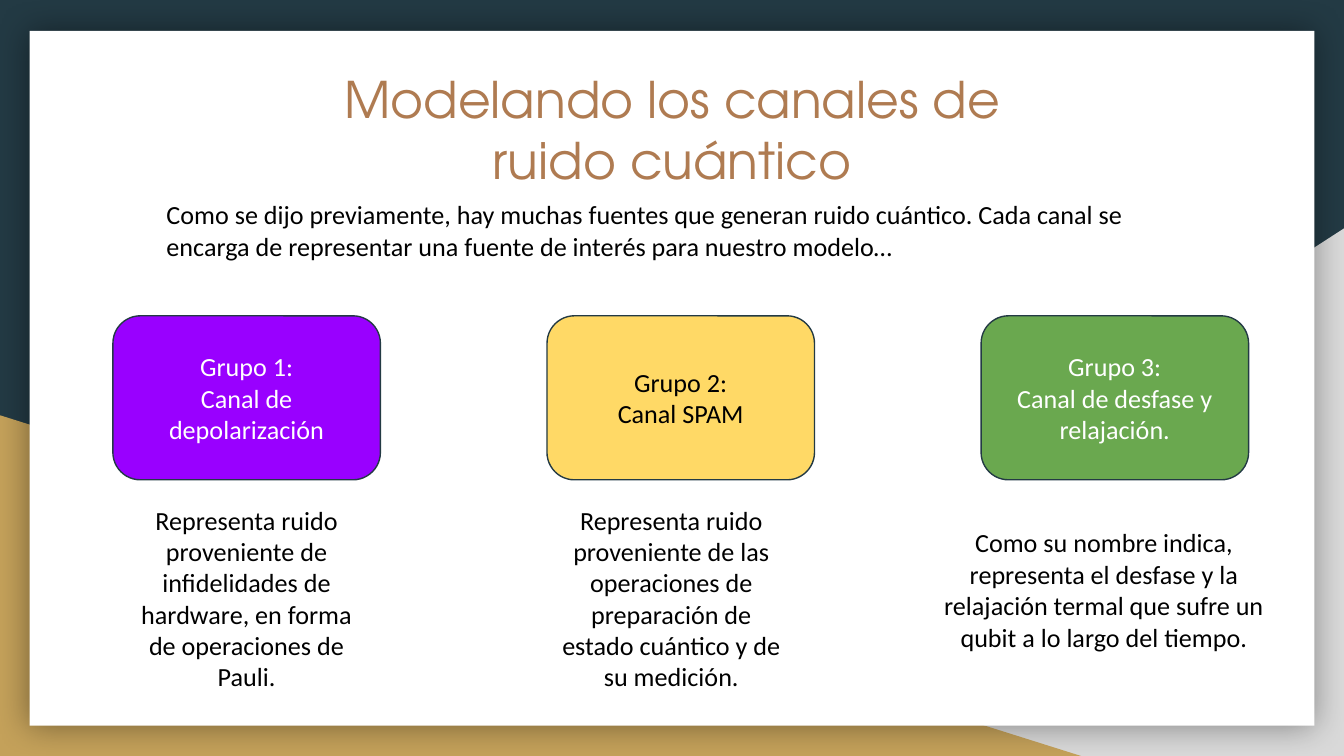
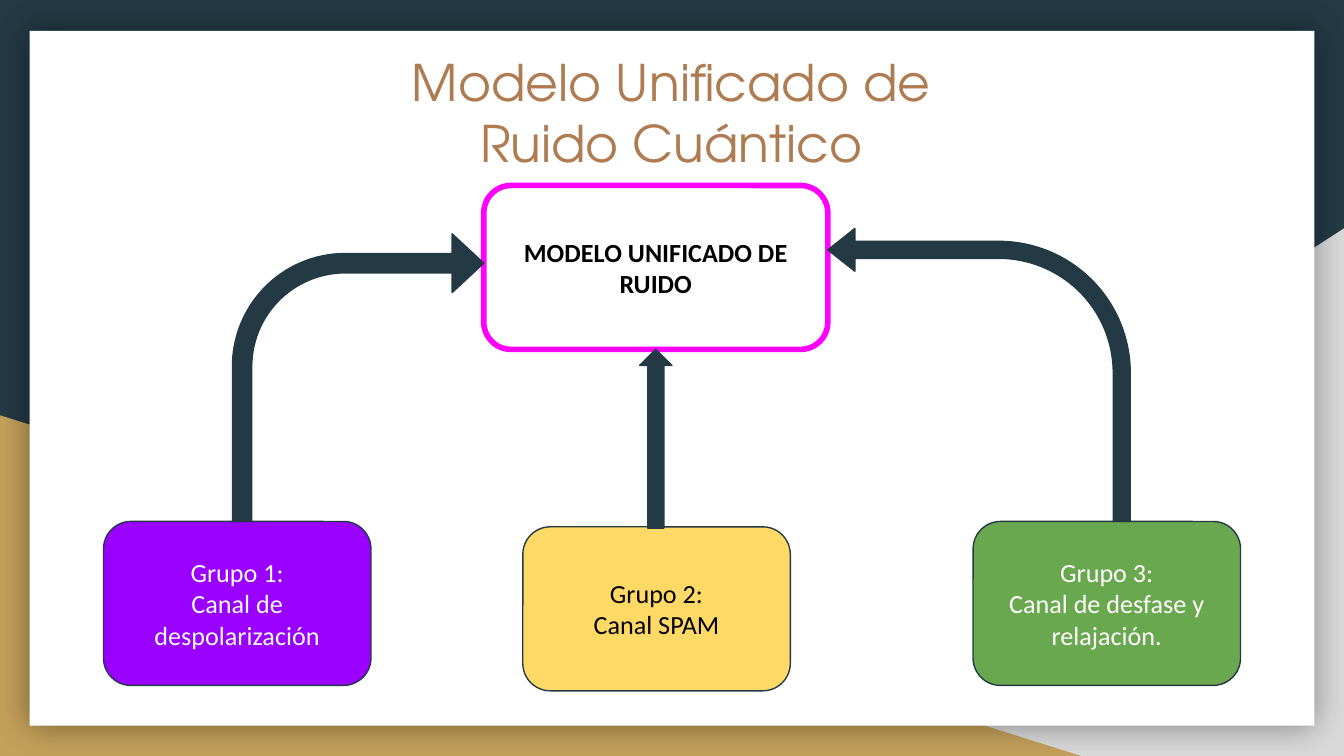
from lxml.etree import SubElement
from pptx import Presentation
from pptx.dml.color import RGBColor
from pptx.enum.shapes import MSO_SHAPE
from pptx.enum.text import MSO_ANCHOR, MSO_AUTO_SIZE, PP_ALIGN
from pptx.oxml.ns import qn
from pptx.util import Inches, Pt

COLORS = {
    "navy": "233A44",
    "gray": "D9D9D9",
    "gold": "C4A15A",
    "white": "FFFFFF",
    "black": "000000",
    "title": "AF7B51",
    "purple": "9900FF",
    "yellow": "FFD966",
    "green": "6AA84F",
    "magenta": "FF00FF",
}
TITLE_FONT = "TeX Gyre Adventor"
BODY_FONT = "Calibri"
TITLE_ONLY = 5
GROUP_SIZE = (1.99, 1.22)
GROUP_STYLES = (("purple", "white"), ("yellow", "black"), ("green", "white"))


def rgb(name):
    return RGBColor.from_string(COLORS[name])


def write(shape, text, font=BODY_FONT, size=14, color="black", bold=False,
          align=PP_ALIGN.CENTER, anchor=MSO_ANCHOR.TOP):
    """Fill a shape with text, one paragraph per line."""
    frame = shape.text_frame
    frame.word_wrap = True
    frame.auto_size = MSO_AUTO_SIZE.NONE
    frame.vertical_anchor = anchor
    frame.margin_left = frame.margin_right = Inches(0.1)
    frame.margin_top = frame.margin_bottom = Inches(0.1)
    frame.text = text
    for para in frame.paragraphs:
        para.alignment = align
        for span in para.runs:
            span.font.name = font
            span.font.size = Pt(size)
            span.font.bold = bold
            span.font.color.rgb = rgb(color)


def add_shape(page, kind, place, fill, line=None, weight=0.75,
              adjustments=(), flip=False):
    shape = page.shapes.add_shape(kind, *map(Inches, place))
    shape.shadow.inherit = False
    shape.fill.solid()
    shape.fill.fore_color.rgb = rgb(fill)
    if line:
        shape.line.color.rgb = rgb(line)
        shape.line.width = Pt(weight)
    else:
        shape.line.fill.background()
    for index, value in enumerate(adjustments):
        shape.adjustments[index] = value
    if flip:
        shape.element.spPr.find(qn("a:xfrm")).set("flipH", "1")
    return shape


def add_soft_shadow(shape, blur, opacity):
    effects = shape.element.spPr.find(qn("a:effectLst"))
    shadow = SubElement(effects, qn("a:outerShdw"), blurRad=str(Pt(blur)),
                        dist="0", dir="0", algn="ctr", rotWithShape="0")
    color = SubElement(shadow, qn("a:srgbClr"), val=COLORS["black"])
    SubElement(color, qn("a:alpha"), val=str(opacity * 1000))


def add_page(deck, title, place):
    """Add a slide with the shared backdrop and its title in front of it."""
    page = deck.slides.add_slide(deck.slide_layouts[TITLE_ONLY])
    page.background.fill.solid()
    page.background.fill.fore_color.rgb = rgb("navy")
    triangle = MSO_SHAPE.RIGHT_TRIANGLE
    add_shape(page, triangle, (3.92, 1.7, 6.08, 3.93), "gray", flip=True)
    add_shape(page, triangle, (0, 3.09, 8.06, 2.54), "gold")
    panel = add_shape(page, MSO_SHAPE.RECTANGLE, (0.22, 0.23, 9.56, 5.17), "white")
    add_soft_shadow(panel, blur=18, opacity=40)

    heading = page.shapes.title
    heading.left, heading.top, heading.width, heading.height = map(Inches, place)
    write(heading, title, font=TITLE_FONT, size=27, color="title")
    panel.element.addnext(heading.element)
    return page


def add_text(page, text, place, **style):
    box = page.shapes.add_textbox(*map(Inches, place))
    write(box, text, **style)


def add_rounded_box(page, text, place, fill, line="navy", weight=0.75, **style):
    box = add_shape(page, MSO_SHAPE.ROUNDED_RECTANGLE, place, fill, line, weight,
                    adjustments=[0.167])
    write(box, text, anchor=MSO_ANCHOR.MIDDLE, **style)


def add_groups(page, first_channel, corners):
    """Add the three numbered group boxes at the given left-top corners."""
    channels = (first_channel, "Canal SPAM", "Canal de desfase y relajación.")
    rows = zip(channels, corners, GROUP_STYLES)
    for number, (channel, corner, (fill, color)) in enumerate(rows, start=1):
        add_rounded_box(page, f"Grupo {number}:\n{channel}", (*corner, *GROUP_SIZE),
                        fill, color=color)


def add_arrow(page, kind, place, adjustments, flip=False):
    add_shape(page, kind, place, "navy", "navy", adjustments=adjustments, flip=flip)


def build_channels(deck):
    page = add_page(deck, "Modelando los canales de ruido cuántico",
                    (2.46, 0.41, 5.08, 1.04))
    add_groups(page, "Canal de depolarización",
               [(0.84 + 3.23 * column, 2.35) for column in range(3)])
    add_text(page, "Como se dijo previamente, hay muchas fuentes que generan ruido "
             "cuántico. Cada canal se encarga de representar una fuente de interés "
             "para nuestro modelo…", (1.14, 1.38, 7.85, 1.04), align=PP_ALIGN.LEFT)
    descriptions = (
        ("Representa ruido proveniente de infidelidades de hardware, en forma de "
         "operaciones de Pauli.", (0.88, 3.65, 1.91, 1.04)),
        ("Representa ruido proveniente de las operaciones de preparación de estado "
         "cuántico y de su medición.", (4.04, 3.65, 1.91, 1.04)),
        ("Como su nombre indica, representa el desfase y la relajación termal que "
         "sufre un qubit a lo largo del tiempo.", (6.88, 3.82, 2.67, 1.04)),
    )
    for text, place in descriptions:
        add_text(page, text, place)


def build_unified_model(deck):
    page = add_page(deck, "Modelo Unificado de\nRuido Cuántico",
                    (2.33, 0.28, 5.33, 1.04))
    add_groups(page, "Canal de despolarización",
               [(0.77, 3.88), (3.89, 3.92), (7.24, 3.88)])
    add_rounded_box(page, "MODELO UNIFICADO DE RUIDO", (3.6, 1.38, 2.56, 1.22),
                    "white", line="magenta", weight=3, bold=True)
    add_arrow(page, MSO_SHAPE.UP_ARROW, (4.76, 2.6, 0.24, 1.33), [0.5, 0.5])
    add_arrow(page, MSO_SHAPE.BENT_ARROW, (1.73, 1.74, 1.87, 2.14),
              [0.077, 0.117, 0.126, 0.449])
    add_arrow(page, MSO_SHAPE.BENT_ARROW, (6.16, 1.7, 2.25, 2.18),
              [0.058, 0.073, 0.092, 0.449], flip=True)


def main():
    deck = Presentation()
    deck.slide_width = Inches(10)
    deck.slide_height = Inches(10) * 9 // 16
    build_channels(deck)
    build_unified_model(deck)
    deck.save("out.pptx")


if __name__ == "__main__":
    main()
